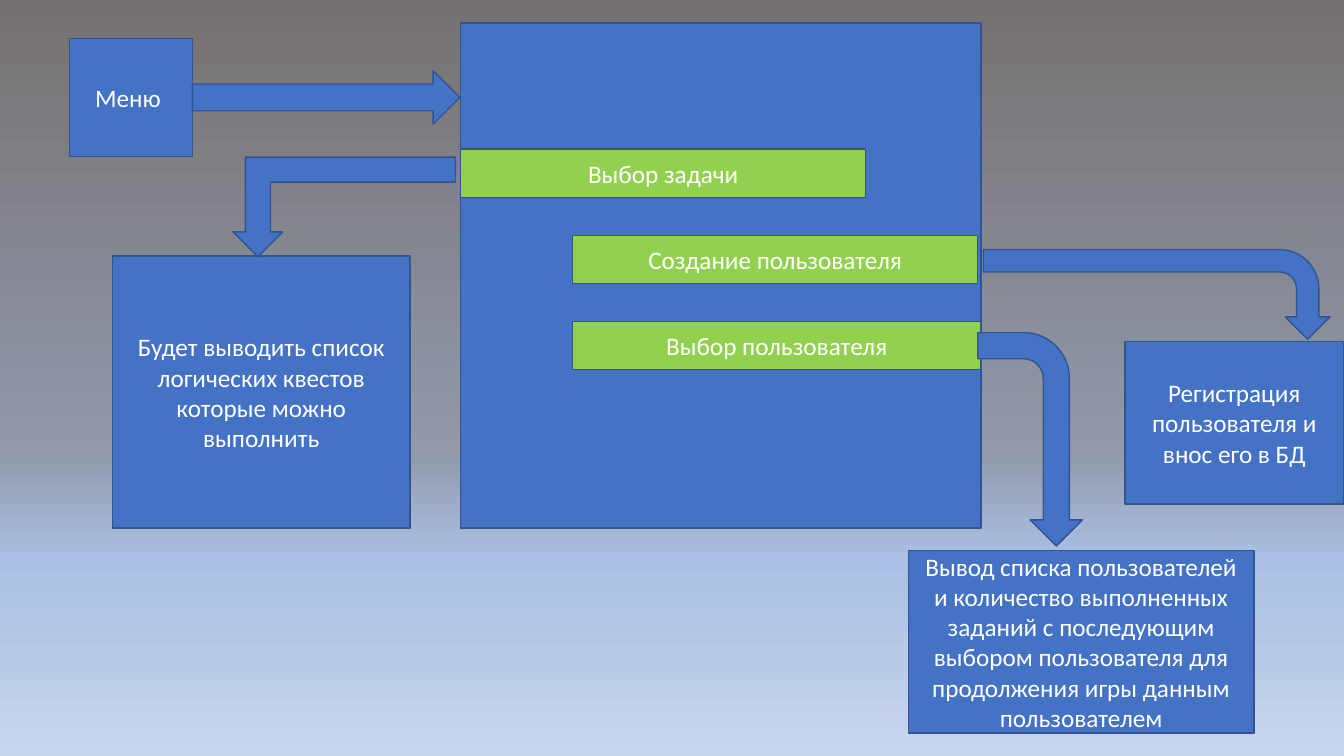
from lxml import etree
from pptx import Presentation
from pptx import util as u
from pptx.dml.color import RGBColor
from pptx.enum import shapes, text
from pptx.oxml.ns import qn

COLORS = {"box": "4472C4", "bar": "92D050", "line": "325491", "text": "FFFFFF"}
BACKGROUND = {0: "767171", 60: "9199AB", 74: "ABC0E4", 100: "C7D5ED"}
FONT = {"name": "Calibri", "size": u.Pt(18)}
FRAME = {"word_wrap": True, "vertical_anchor": text.MSO_ANCHOR.MIDDLE}
G = shapes.MSO_SHAPE

PANEL_LEFT, BAR_TOP, BAR_STEP, BAR_HEIGHT = 11.61, 3.76, 2.17, 1.22
BARS = [
    ("Выбор задачи", PANEL_LEFT, 10.21),
    ("Создание пользователя", 14.43, 10.21),
    ("Выбор пользователя", 14.43, 10.29),
]
BOXES = [
    ("Меню ", (1.75, 0.97, 3.1, 2.97)),
    ("Будет выводить список логических квестов которые можно выполнить",
     (2.84, 6.45, 7.49, 6.86)),
    ("Регистрация пользователя и внос его в БД", (28.35, 8.61, 5.51, 4.09)),
    ("Вывод списка пользователей и количество выполненных заданий с последующим "
     "выбором пользователя для продолжения игры данным пользователем",
     (22.89, 13.87, 8.71, 4.6)),
]
ARROWS = [
    (G.RIGHT_ARROW, (4.85, 1.78, 6.74, 1.35), 0),
    (G.BENT_UP_ARROW, (5.87, 3.96, 5.61, 2.51), 180),
    (G.BENT_ARROW, (28.02, 3.05, 2.26, 8.74), 90),
    (G.BENT_ARROW, (23.27, 9.75, 5.38, 2.64), 90),
]


def set_all(obj, values):
    """Set every attribute in a dict of format values."""
    for name, value in values.items():
        setattr(obj, name, value)


def rgb(key):
    """Return the named colour."""
    return RGBColor.from_string(COLORS[key])


def paint_background(s):
    """Fill the slide with a vertical gradient."""
    fill = s.background.fill
    fill.gradient()
    fill.gradient_angle = 270
    stops = s.element.find(".//" + qn("a:gsLst"))
    for gs in list(stops):
        stops.remove(gs)
    for percent, color in BACKGROUND.items():
        gs = etree.SubElement(stops, qn("a:gs"), pos=str(percent * 1000))
        etree.SubElement(gs, qn("a:srgbClr"), val=color)


def add_figure(s, kind, place, color="box", rotation=0):
    """Add an outlined preset shape."""
    sp = s.shapes.add_shape(kind, *(u.Cm(v) for v in place))
    sp.rotation = rotation
    sp.shadow.inherit = False
    sp.fill.solid()
    sp.fill.fore_color.rgb = rgb(color)
    sp.line.color.rgb = rgb("line")
    sp.line.width = u.Pt(1)
    return sp


def add_box(s, label, place, color="box"):
    """Add a rectangle with a centred label."""
    tf = add_figure(s, G.RECTANGLE, place, color).text_frame
    set_all(tf, FRAME)
    p = tf.paragraphs[0]
    p.alignment = text.PP_ALIGN.CENTER
    r = p.add_run()
    r.text = label
    set_all(r.font, FONT)
    r.font.color.rgb = rgb("text")


def main():
    """Build the menu diagram."""
    prs = Presentation()
    set_all(prs, {"slide_width": u.Cm(33.87), "slide_height": u.Cm(19.05)})
    s = prs.slides.add_slide(prs.slide_layouts[6])
    paint_background(s)
    add_figure(s, G.RECTANGLE, (PANEL_LEFT, 0.58, 13.11, 12.73))
    for i, (label, left, width) in enumerate(BARS):
        add_box(s, label, (left, BAR_TOP + i * BAR_STEP, width, BAR_HEIGHT), "bar")
    for label, place in BOXES:
        add_box(s, label, place)
    for kind, place, rotation in ARROWS:
        add_figure(s, kind, place, rotation=rotation)
    prs.save("out.pptx")


if __name__ == "__main__":
    main()
